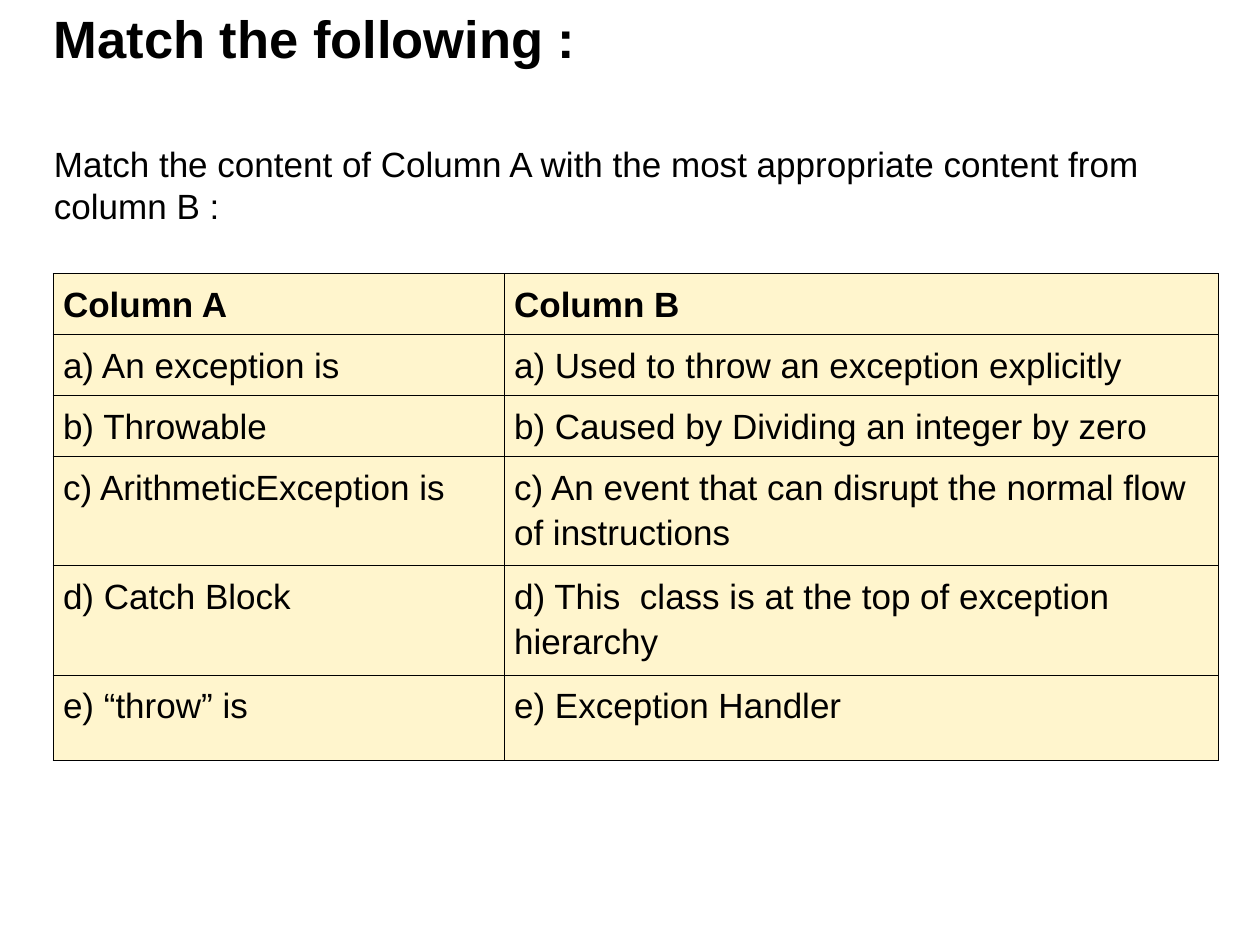
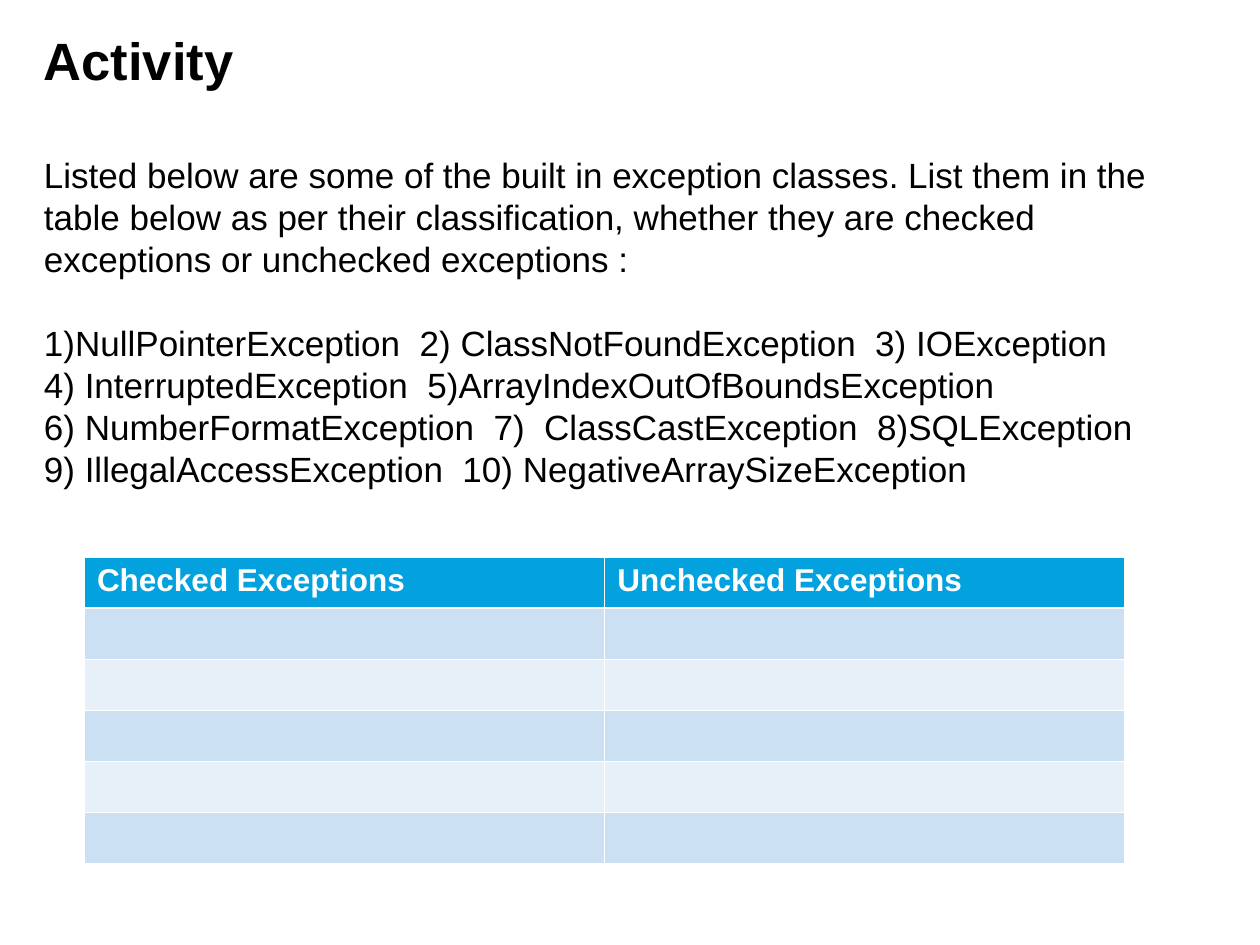
from lxml.etree import SubElement
from pptx import Presentation
from pptx.dml.color import RGBColor
from pptx.enum.text import MSO_AUTO_SIZE as AutoSize
from pptx.oxml.ns import qn
from pptx.util import Inches, Pt

BLACK = RGBColor(0x00, 0x00, 0x00)
WHITE = RGBColor(0xFF, 0xFF, 0xFF)
CREAM = RGBColor(0xFF, 0xF5, 0xCD)
BLUE = RGBColor(0x03, 0xA2, 0xDF)
LIGHT_BLUE = RGBColor(0xCB, 0xE0, 0xF3)
PALE_BLUE = RGBColor(0xE7, 0xF0, 0xF9)

THIN, THICK = 0.45, 1.47

TITLE = {"name": "Arial", "size": Pt(30), "bold": True, "color": BLACK}
BODY = {"name": "Arial", "size": Pt(20), "bold": False, "color": BLACK}
BODY_HEADER = {**BODY, "bold": True}
WHITE_HEADER = {**BODY_HEADER, "size": Pt(18), "color": WHITE}
ANSWER = {**BODY, "size": Pt(18)}

MATCHES = [
    ("Column A", "Column B"),
    ("a) An exception is", "a) Used to throw an exception explicitly"),
    ("b) Throwable", "b) Caused by Dividing an integer by zero"),
    ("c) ArithmeticException is",
     "c) An event that can disrupt the normal flow of instructions"),
    ("d) Catch Block", "d) This  class is at the top of exception hierarchy"),
    ("e) “throw” is", "e) Exception Handler"),
]
MATCH_INSTRUCTION = ("Match the content of Column A with the most appropriate "
                     "content from column B :")

ACTIVITY_INSTRUCTION = (
    "Listed below are some of the built in exception classes. List them in the "
    "table below as per their classification, whether they are checked "
    "exceptions or unchecked exceptions :")
EXCEPTION_CLASSES = [
    "1)NullPointerException  2) ClassNotFoundException  3) IOException",
    "4) InterruptedException  5)ArrayIndexOutOfBoundsException",
    "6) NumberFormatException  7)  ClassCastException  8)SQLException",
    "9) IllegalAccessException  10) NegativeArraySizeException",
]
CLASSIFICATION = [("Checked Exceptions", "Unchecked Exceptions")] + [("", "")] * 5


class Deck:
    def __init__(self):
        self.presentation = Presentation()
        self.presentation.slide_width = Inches(10)
        self.presentation.slide_height = Inches(7.5)
        self.slide = None

    def add_slide(self):
        blank = self.presentation.slide_layouts[6]
        self.slide = self.presentation.slides.add_slide(blank)

    def style(self, paragraph, text_format):
        for name, value in text_format.items():
            if name == "color":
                paragraph.font.color.rgb = value
            else:
                setattr(paragraph.font, name, value)

    def add_text(self, box, lines, text_format):
        """Add a text box and return its paragraphs, one for each line."""
        shape = self.slide.shapes.add_textbox(*map(Inches, box))
        frame = shape.text_frame
        frame.word_wrap = True
        frame.auto_size = AutoSize.SHAPE_TO_FIT_TEXT
        frame.text = "\n".join(lines)
        for paragraph in frame.paragraphs:
            self.style(paragraph, text_format)
        return frame.paragraphs

    def add_border(self, cell, side, color, width):
        properties = cell._tc.get_or_add_tcPr()
        line = SubElement(properties, qn(f"a:ln{side}"), w=str(Pt(width)))
        fill = SubElement(line, qn("a:solidFill"))
        SubElement(fill, qn("a:srgbClr"), val=str(color))

    def add_table(self, position, widths, heights, rows, fills, formats,
                  border, header_rule=THIN, margin=0.1, line_spacing=None):
        """Add a table; fills go by row, formats are (header, other rows)."""
        box = (*position, sum(widths), sum(heights))
        table = self.slide.shapes.add_table(
            len(rows), len(widths), *map(Inches, box)).table
        for column, width in zip(table.columns, widths):
            column.width = Inches(width)
        for index, (row, height) in enumerate(zip(table.rows, heights)):
            row.height = Inches(height)
            rules = {"L": THIN, "R": THIN,
                     "T": header_rule if index == 1 else THIN,
                     "B": header_rule if index == 0 else THIN}
            for cell, text in zip(row.cells, rows[index]):
                cell.margin_left = cell.margin_right = Inches(margin)
                for side, width in rules.items():
                    self.add_border(cell, side, border, width)
                cell.fill.solid()
                cell.fill.fore_color.rgb = fills[index]
                cell.text = text
                paragraph = cell.text_frame.paragraphs[0]
                paragraph.line_spacing = line_spacing
                self.style(paragraph, formats[min(index, 1)])


def build_matching(deck):
    deck.add_slide()
    deck.add_text((0.33, 0, 9.33, 0.6), ["Match the following :"], TITLE)
    deck.add_table((0.42, 2.17), [3.58, 5.67],
                   [0.48, 0.48, 0.48, 0.77, 0.77, 0.68], MATCHES,
                   [CREAM] * len(MATCHES), (BODY_HEADER, BODY), BLACK,
                   margin=0.08, line_spacing=1.15)
    deck.add_text((0.33, 1.08, 9, 0.77), [MATCH_INSTRUCTION], BODY)


def build_activity(deck):
    deck.add_slide()
    deck.add_text((0.25, 0.17, 8.33, 0.6), ["Activity"], TITLE)
    paragraphs = deck.add_text((0.25, 1.17, 9.25, 6.07),
                               [ACTIVITY_INSTRUCTION, *EXCEPTION_CLASSES], BODY)
    paragraphs[1].space_before = Pt(24)
    bands = [LIGHT_BLUE, PALE_BLUE] * 3
    deck.add_table((0.67, 4.42), [4.13, 4.12], [0.405] * len(CLASSIFICATION),
                   CLASSIFICATION, [BLUE, *bands], (WHITE_HEADER, ANSWER),
                   WHITE, header_rule=THICK)


def main():
    deck = Deck()
    build_matching(deck)
    build_activity(deck)
    deck.presentation.save("out.pptx")


if __name__ == "__main__":
    main()
